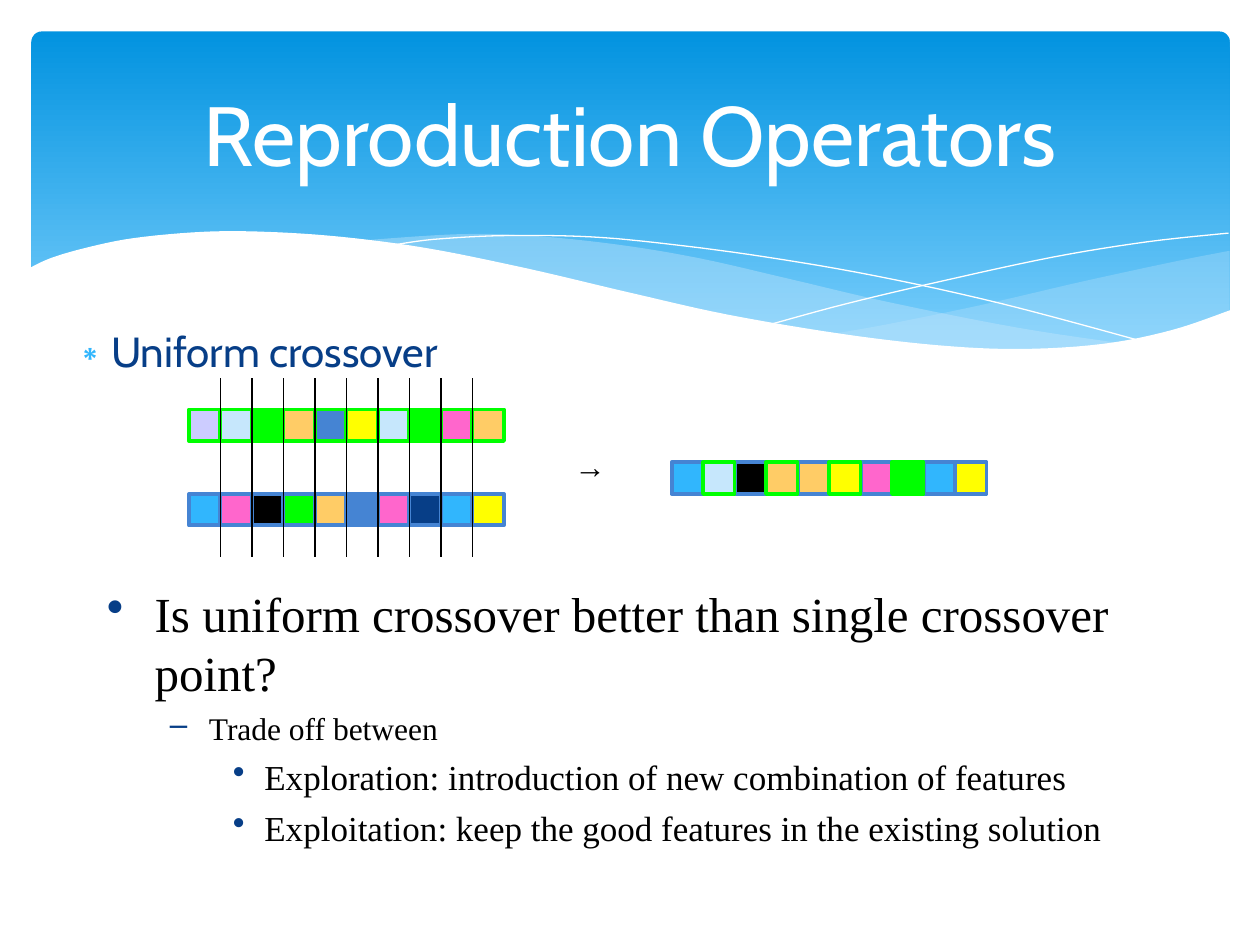
from lxml import etree
from pptx import Presentation
from pptx import util as u
from pptx.dml.color import RGBColor
from pptx.enum import shapes, text
from pptx.oxml.ns import qn

THEME = {
    "sky": "31B6FD", "pink": "FF66CC", "black": "000000", "green": "00FF00",
    "sand": "FFCC66", "steel": "4584D3", "navy": "073E87", "yellow": "FFFF00",
    "lilac": "CCCCFF", "ice": "C6E7FC", "white": "FFFFFF",
    "top": "0293E0", "low": "83D3FE",
    "head": "Cabin", "serif": "Times New Roman", "sans": "Arial",
    "title": 48, "lead": 24, "ask": 28, "sub": 18, "item": 20, "arrow": 18,
}

TITLE = "Reproduction Operators"
LEAD = "Uniform crossover"
# text, level, size, left margin, hanging indent, space before, bullet
NOTES = [
    ("Is uniform crossover better than single crossover point?",
     0, "ask", 0.38, 0.38, 0, "•"),
    ("Trade off between", 1, "sub", 0.81, 0.31, 4.5, "–"),
    ("Exploration: introduction of new combination of features",
     2, "item", 1.25, 0.25, 5, "•"),
    ("Exploitation: keep the good features in the existing solution",
     2, "item", 1.25, 0.25, 5, "•"),
]

DAD = "lilac ice green sand steel yellow ice green pink sand".split()
MOM = "sky pink black green sand steel pink navy sky yellow".split()
FROM_DAD = (1, 3, 5, 7)
CELL = 0.25
LEFT, DAD_Y, MOM_Y = 1.5, 3.25, 3.92
KID_X, KID_Y = 5.33, 3.67
CUT_TOP, CUT_END = 3, 4.42

# Each wave is a list of edges; every edge is a smooth curve through its points.
# edges, fill, opacity in percent
WAVES = [
    ([[(9.76, 1.99), (9.35, 2.07), (8.61, 2.23), (7.79, 2.42), (7.06, 2.57), (6.61, 2.65)],
      [(6.61, 2.65), (7.05, 2.71), (7.57, 2.76), (8.03, 2.78), (8.54, 2.76), (8.97, 2.7),
       (9.35, 2.61), (9.76, 2.47)]], "ice", 29),
    ([[(8.93, 2.73), (8.07, 2.6), (7.06, 2.4), (6.29, 2.22), (5.55, 2.05), (4.89, 1.94),
       (4.2, 1.87), (3.61, 1.86), (2.86, 1.91)],
      [(2.86, 1.91), (3.62, 2.03), (4.49, 2.22), (5.3, 2.4), (6.01, 2.55), (6.8, 2.68),
       (7.48, 2.76), (8.07, 2.78), (8.57, 2.77), (8.93, 2.73)]], "ice", 40),
    ([[(3.09, 1.95), (3.44, 1.9), (4.01, 1.87), (4.69, 1.88), (5.33, 1.94), (6.08, 2.04),
       (6.95, 2.19), (7.95, 2.41), (9.07, 2.71)]], None, 0),
    ([[(6.13, 2.57), (6.72, 2.41), (7.48, 2.23), (8.36, 2.04), (9.1, 1.92), (9.75, 1.85)]],
     None, 0),
    ([[(9.77, 2.46), (9.3, 2.62), (8.75, 2.73), (8.09, 2.77), (7.44, 2.74), (6.68, 2.65),
       (5.79, 2.5), (5.03, 2.33), (4.18, 2.13), (3.39, 1.97), (2.71, 1.88), (2.11, 1.84),
       (1.61, 1.84), (1.06, 1.89), (0.67, 1.97), (0.4, 2.05), (0.23, 2.13)],
      [(0.23, 3.29), (9.77, 3.29)]], "white", 100),
]


def rgb(name):
    return RGBColor.from_string(THEME[name])


def box(*sides):
    return [u.Inches(s) for s in sides]


def trace(pts, steps=6):
    """Sample a Catmull-Rom curve through pts; two points stay straight."""
    if len(pts) < 3:
        return list(pts)
    ends = [pts[0], *pts, pts[-1]]
    out = [pts[0]]
    for a, b, c, d in zip(ends, ends[1:], ends[2:], ends[3:]):
        for s in range(1, steps + 1):
            t = s / steps
            out.append(tuple(
                (2 * q + (r - p) * t + (2 * p - 5 * q + 4 * r - v) * t ** 2
                 + (3 * q - p - 3 * r + v) * t ** 3) / 2
                for p, q, r, v in zip(a, b, c, d)))
    return out


def add_wave(slide, edges, fill, alpha):
    pts = [box(*p) for edge in edges for p in trace(edge)]
    pen = slide.shapes.build_freeform(*pts[0])
    pen.add_line_segments(pts[1:], close=fill is not None)
    wave = pen.convert_to_shape()
    wave.shadow.inherit = False
    if fill is None:
        wave.fill.background()
        wave.line.color.rgb = rgb("white")
        wave.line.width = u.Pt(0)
        return
    wave.fill.solid()
    wave.fill.fore_color.rgb = rgb(fill)
    wave.line.fill.background()
    if alpha < 100:
        tint = wave._element.spPr.find(".//" + qn("a:srgbClr"))
        etree.SubElement(tint, qn("a:alpha"), val=str(alpha * 1000))


def add_back(slide):
    band = slide.shapes.add_shape(shapes.MSO_SHAPE.ROUNDED_RECTANGLE,
                                  *box(0.25, 0.25, 9.51, 2.7))
    band.adjustments[0] = 0.03
    band.shadow.inherit = False
    band.line.fill.background()
    band.fill.gradient()
    band.fill.gradient_angle = 270
    for stop, name, pos in zip(band.fill.gradient_stops, ("top", "low"), (0, 1)):
        stop.color.rgb = rgb(name)
        stop.position = pos
    for wave in WAVES:
        add_wave(slide, *wave)


def add_cell(slide, x, y, fill, edge):
    cell = slide.shapes.add_shape(shapes.MSO_SHAPE.RECTANGLE, *box(x, y, CELL, CELL))
    cell.shadow.inherit = False
    cell.fill.solid()
    cell.fill.fore_color.rgb = rgb(fill)
    cell.line.color.rgb = rgb(edge)
    cell.line.width = u.Pt(2.25)


def add_cut(slide, x):
    cut = slide.shapes.add_connector(shapes.MSO_CONNECTOR.STRAIGHT,
                                     *box(x, CUT_TOP, x, CUT_END))
    cut.line.color.rgb = rgb("black")
    cut.line.width = u.Pt(1)
    etree.SubElement(cut._element.spPr, qn("a:effectLst"))


def add_run(para, words, size, face, color):
    run = para.add_run()
    run.text = words
    run.font.size = u.Pt(THEME[size])
    run.font.name = THEME[face]
    run.font.color.rgb = rgb(color)


def set_mark(para, mark, color, left, hang):
    props = para._p.get_or_add_pPr()
    props.set("marL", str(u.Inches(left)))
    props.set("indent", str(-u.Inches(hang)))
    tint = etree.SubElement(props, qn("a:buClr"))
    etree.SubElement(tint, qn("a:srgbClr"), val=THEME[color])
    etree.SubElement(props, qn("a:buChar"), char=mark)


def place(shape, *sides):
    shape.left, shape.top, shape.width, shape.height = box(*sides)
    shape.text_frame.word_wrap = True
    return shape.text_frame


def add_heads(slide):
    title, body = slide.shapes.title, slide.placeholders[1]
    for shape in (title, body):  # bring in front of the backdrop
        slide.shapes._spTree.append(shape._element)
    frame = place(title, 0.5, 0.37, 9, 1.37)
    frame.vertical_anchor = text.MSO_ANCHOR.MIDDLE
    para = frame.paragraphs[0]
    para.alignment = text.PP_ALIGN.CENTER
    add_run(para, TITLE, "title", "head", "white")
    frame = place(body, 0.45, 2.53, 9.02, 0.92)
    para = frame.paragraphs[0]
    para.space_before = u.Pt(0)
    set_mark(para, "∗", "sky", 0.3, 0.3)
    add_run(para, LEAD, "lead", "head", "navy")


def add_genes(slide):
    for i, (dad, mom) in enumerate(zip(DAD, MOM)):
        x = LEFT + i * CELL
        add_cell(slide, x, MOM_Y, mom, "steel")
        add_cell(slide, x, DAD_Y, dad, "green")
    for i in range(1, len(DAD)):
        add_cut(slide, LEFT + i * CELL)
    for i in sorted(range(len(DAD)), key=lambda n: n in FROM_DAD):
        fill, edge = (DAD[i], "green") if i in FROM_DAD else (MOM[i], "steel")
        add_cell(slide, KID_X + i * CELL, KID_Y, fill, edge)
    arrow = slide.shapes.add_textbox(*box(4.46, 3.5, 0.45, 0.4)).text_frame
    arrow.word_wrap = False
    add_run(arrow.paragraphs[0], "→", "arrow", "sans", "black")


def add_notes(slide):
    frame = slide.shapes.add_textbox(*box(0.75, 4.58, 8.5, 2.25)).text_frame
    frame.word_wrap = True
    for i, (words, level, size, left, hang, gap, mark) in enumerate(NOTES):
        para = frame.add_paragraph() if i else frame.paragraphs[0]
        para.level = level
        para.space_before = u.Pt(gap)
        set_mark(para, mark, "navy", left, hang)
        add_run(para, words, size, "serif", "black")


def main():
    deck = Presentation()
    deck.slide_width, deck.slide_height = box(10, 7.5)
    slide = deck.slides.add_slide(deck.slide_layouts[1])
    add_back(slide)
    add_heads(slide)
    add_genes(slide)
    add_notes(slide)
    deck.save("out.pptx")


if __name__ == "__main__":
    main()
